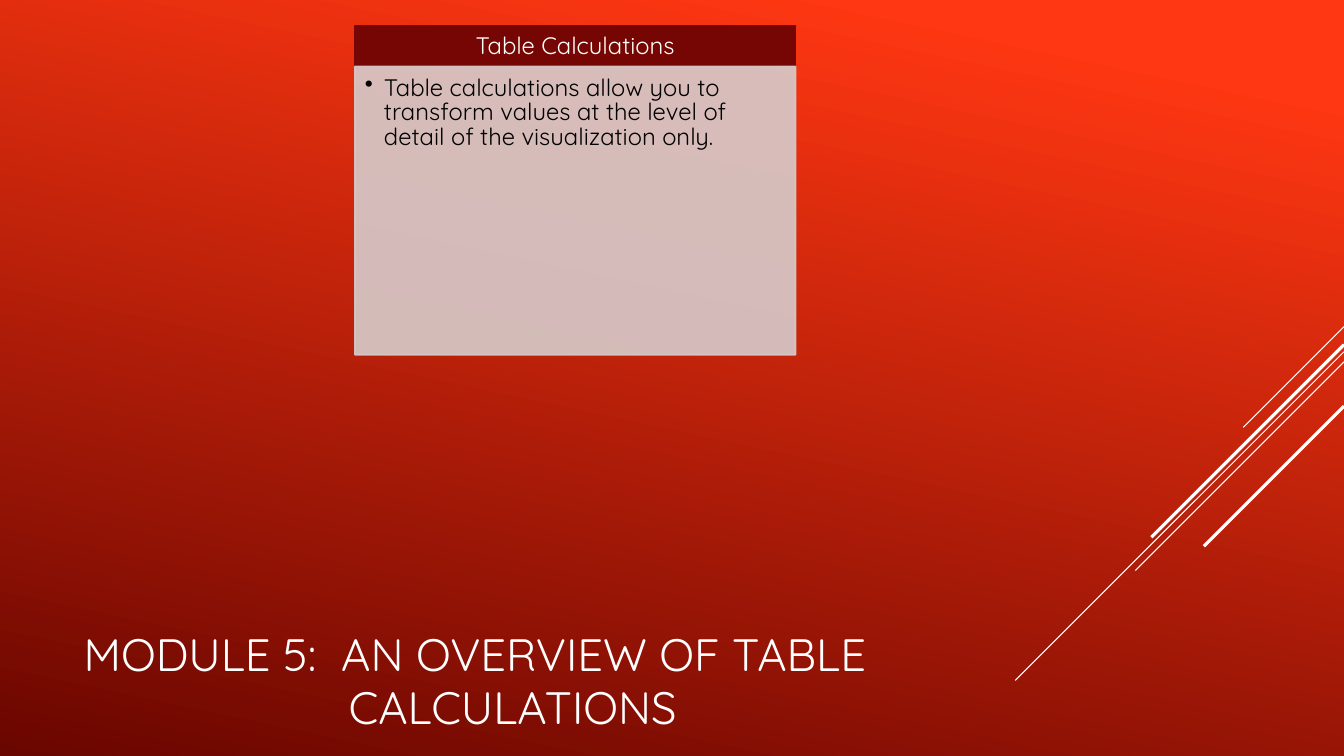
from lxml import etree
from pptx import Presentation
from pptx.dml.color import RGBColor
from pptx.enum.shapes import MSO_CONNECTOR as Connector, MSO_SHAPE as Shape
from pptx.enum.text import MSO_ANCHOR as Anchor, PP_ALIGN as Align
from pptx.oxml.ns import qn
from pptx.util import Inches, Pt

FONT = "Quicksand"
WHITE, BLACK = "FFFFFF", "000000"
HEADER_RED, PANEL_GREY = "760603", "D6CCCC"


def color(hex_code):
    return RGBColor.from_string(hex_code)


def set_alpha(fill, percent):
    """Make a solid fill partly transparent."""
    for rgb in fill._xPr.iter(qn("a:srgbClr")):
        etree.SubElement(rgb, qn("a:alpha")).set("val", str(percent * 1000))


def add_background(slide):
    fill = slide.background.fill
    fill.gradient()
    fill.gradient_angle = 258
    for stop, (position, hex_code) in zip(
            fill.gradient_stops, [(0.1, "FF3712"), (1, "6A0600")]):
        stop.position = position
        stop.color.rgb = color(hex_code)


def add_panel(slide, box, hex_code, opacity=100):
    panel = slide.shapes.add_shape(Shape.RECTANGLE, *map(Inches, box))
    panel.shadow.inherit = False
    panel.fill.solid()
    panel.fill.fore_color.rgb = color(hex_code)
    panel.line.color.rgb = color(hex_code)
    panel.line.width = Pt(1.25)
    if opacity < 100:
        set_alpha(panel.fill, opacity)
        set_alpha(panel.line.fill, opacity)
    return panel


def add_ray(slide, start, end, weight):
    ray = slide.shapes.add_connector(
        Connector.STRAIGHT, *map(Inches, (*start, *end)))
    ray.line.color.rgb = color(WHITE)
    ray.line.width = Pt(weight)
    etree.SubElement(ray._element.spPr, qn("a:effectLst"))


def write_text(shape, text, *, size, hex_code=WHITE, align=Align.LEFT,
               anchor=Anchor.MIDDLE, insets=(0.1, 0.05, 0.1, 0.05),
               hanging=0, bullet=None, spacing=1.0):
    frame = shape.text_frame
    frame.word_wrap = True
    frame.vertical_anchor = anchor
    (frame.margin_left, frame.margin_top,
     frame.margin_right, frame.margin_bottom) = map(Inches, insets)
    paragraph = frame.paragraphs[0]
    paragraph.text = text
    paragraph.alignment = align
    paragraph.line_spacing = spacing
    properties = paragraph._p.get_or_add_pPr()
    if hanging:
        properties.set("marL", str(Inches(hanging)))
        properties.set("indent", str(-Inches(hanging)))
    if bullet:
        etree.SubElement(properties, qn("a:buChar")).set("char", bullet)
    font = paragraph.runs[0].font
    font.name = FONT
    font.size = Pt(size)
    font.color.rgb = color(hex_code)


def main():
    deck = Presentation()
    deck.slide_width, deck.slide_height = Inches(13.33), Inches(7.5)
    slide = deck.slides.add_slide(deck.slide_layouts[6])
    add_background(slide)

    # Title
    title = slide.shapes.add_textbox(
        *map(Inches, (0.73, 6.29, 10.21, 0.95)))
    write_text(title, "MODULE 5:  AN OVERVIEW OF TABLE CALCULATIONS",
               size=32.4, hanging=2.63, spacing=0.97)

    # Diagonal rays from the right edge
    for top, length, weight in [(3.24, 1, 0.75), (3.49, 3.26, 0.75),
                                (3.59, 2.07, 0.75), (3.42, 1.91, 2.25),
                                (4.03, 1.39, 2.25)]:
        add_ray(slide, (13.33, top), (13.33 - length, top + length), weight)

    # Table calculations card
    header = add_panel(slide, (3.52, 0.26, 4.37, 0.4), HEADER_RED)
    write_text(header, "Table Calculations", size=17, align=Align.CENTER,
               insets=(0.13, 0.08, 0.13, 0.08), spacing=0.9)
    body = add_panel(slide, (3.52, 0.66, 4.37, 2.86), PANEL_GREY, opacity=90)
    write_text(body, "Table calculations allow you to transform values at "
               "the level of detail of the visualization only.",
               size=17, hex_code=BLACK, anchor=Anchor.TOP,
               insets=(0.1, 0.1, 0.13, 0.15), hanging=0.19, bullet="•",
               spacing=0.86)

    deck.save("out.pptx")


if __name__ == "__main__":
    main()
